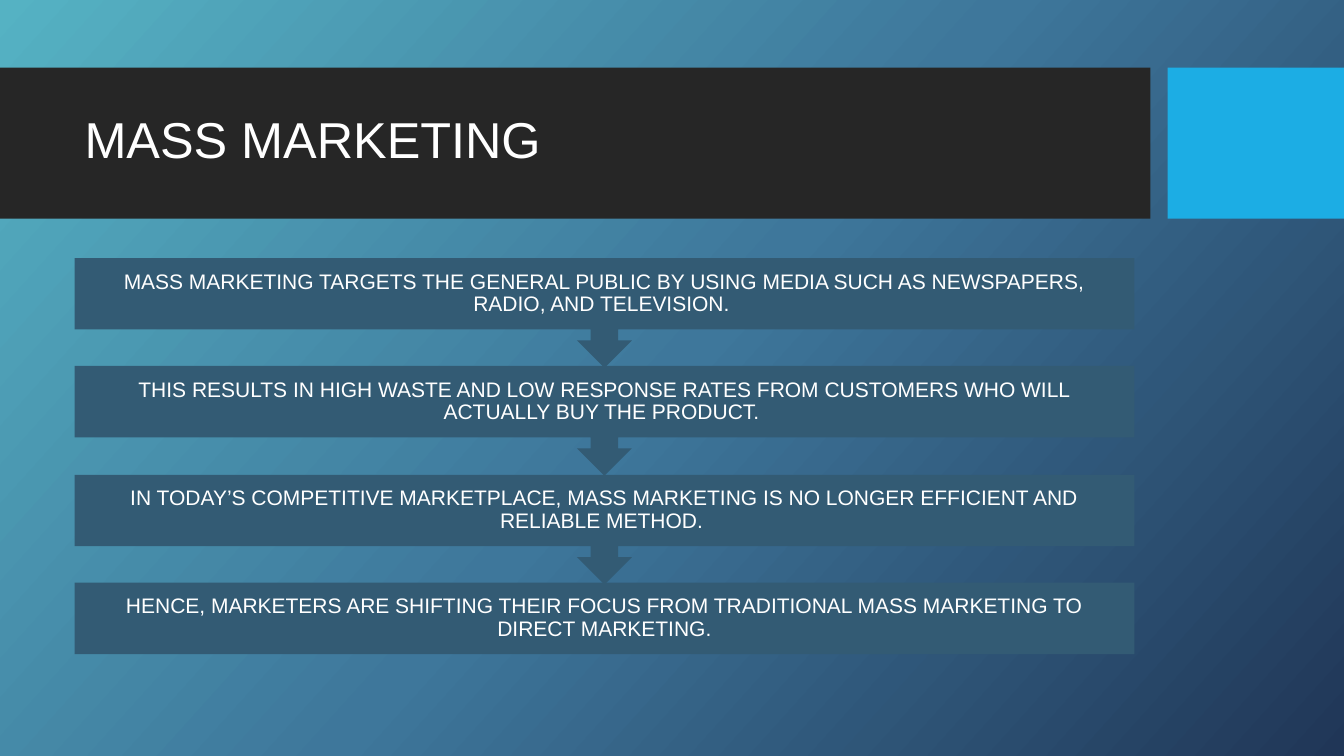
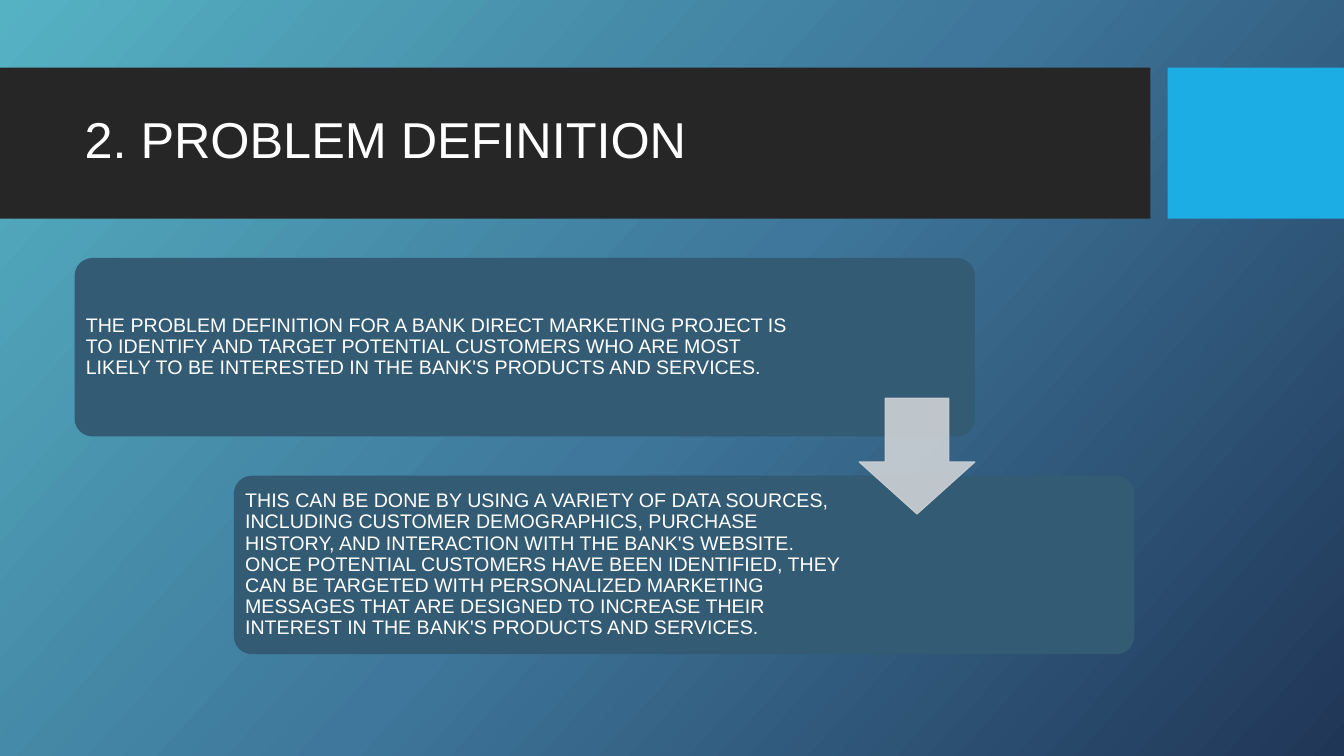
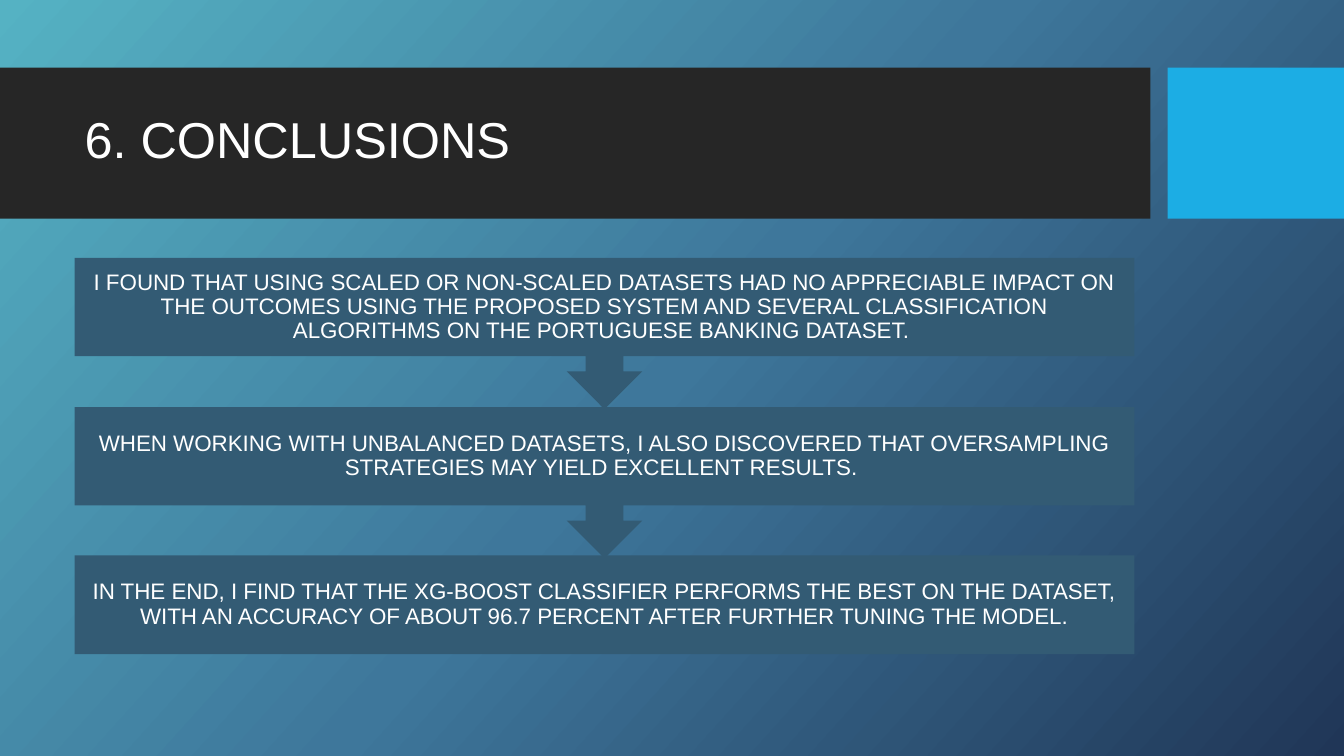
import lxml.etree
import pptx
import pptx.dml.color
import pptx.enum.shapes
import pptx.enum.text
import pptx.oxml.ns
import pptx.util

SHAPE = pptx.enum.shapes.MSO_SHAPE
ALIGN = pptx.enum.text.PP_ALIGN
qn = pptx.oxml.ns.qn

EMU_PER_PX = 9144
FONT = "Arial"
WHITE = "FFFFFF"
BAND = "262626"
ACCENT = "1CADE4"
PANEL = "335B74"
ARROW = "CED2D6"
BACKGROUND = [(0, "55B2C3"), (50, "3E779B"), (100, "203657")]
BODY = (74, 256, 1051, 393)


def px(n):
    return pptx.util.Emu(round(n) * EMU_PER_PX)


def rgb(value):
    return pptx.dml.color.RGBColor.from_string(value)


def add_box(slide, kind, box, color):
    sp = slide.shapes.add_shape(kind, *map(px, box))
    sp.shadow.inherit = False
    sp.fill.solid()
    sp.fill.fore_color.rgb = rgb(color)
    sp.line.fill.background()
    return sp


def set_text(sp, text, size, insets, align=ALIGN.LEFT):
    tf = sp.text_frame
    tf.word_wrap = True
    tf.vertical_anchor = pptx.enum.text.MSO_ANCHOR.MIDDLE
    tf.margin_left, tf.margin_top, tf.margin_right, tf.margin_bottom = map(px, insets)
    tf.text = text
    p = tf.paragraphs[0]
    p.alignment = align
    p.line_spacing = 0.9
    font = p.runs[0].font
    font.name = FONT
    font.size = pptx.util.Pt(size)
    font.color.rgb = rgb(WHITE)


def set_background(master):
    fill = master.background.fill
    fill.gradient()
    fill.gradient_angle = 360 - 42
    stops = master.element.find(".//" + qn("a:gsLst"))
    for stop in list(stops):
        stops.remove(stop)
    for position, color in BACKGROUND:
        stop = lxml.etree.SubElement(stops, qn("a:gs"), pos=str(position * 1000))
        lxml.etree.SubElement(stop, qn("a:srgbClr"), val=color)


def add_titled_slide(prs, title):
    slide = prs.slides.add_slide(prs.slide_layouts[6])
    add_box(slide, SHAPE.RECTANGLE, (0, 67, 1141, 150), BAND)
    add_box(slide, SHAPE.RECTANGLE, (1158, 67, 175, 150), ACCENT)
    sp = slide.shapes.add_textbox(*map(px, (74, 82, 1051, 118)))
    set_text(sp, title, 36, (10, 5, 10, 5))
    return slide


def add_process_stack(slide, box, texts, size):
    x, y, w, h = box
    pitch_ratio = 1.515
    row_h = h / (1 + pitch_ratio * (len(texts) - 1))
    for i, text in enumerate(texts):
        last = i == len(texts) - 1
        kind = SHAPE.RECTANGLE if last else SHAPE.DOWN_ARROW_CALLOUT
        shape_h = row_h if last else row_h / 0.65
        row = (x, y + i * pitch_ratio * row_h, w, shape_h)
        sp = add_box(slide, kind, row, PANEL)
        set_text(sp, text, size, (12, 12, 12, 12), ALIGN.CENTER)


def add_staircase(slide, box, steps, size):
    x, y, w, h = box
    step_w, step_h = 0.85 * w, 0.45 * h
    inset, corner = 6, 5
    for i, (text, text_w) in enumerate(steps):
        step = (x + i * (w - step_w), y + i * (h - step_h), step_w, step_h)
        sp = add_box(slide, SHAPE.ROUNDED_RECTANGLE, step, PANEL)
        sp.adjustments[0] = 0.1
        right = step_w - 2 * corner - text_w + inset
        set_text(sp, text, size, (inset, inset, right, inset))

    side = 0.65 * step_h
    arrow = (x + step_w - side, y + (h - side) / 2, side, side)
    sp = add_box(slide, SHAPE.DOWN_ARROW, arrow, ARROW)
    sp.adjustments[0] = 0.55
    sp.adjustments[1] = 0.45
    sp.line.color.rgb = rgb(ARROW)
    sp.line.width = pptx.util.Pt(0.75)
    for color in sp.element.spPr.iter(qn("a:srgbClr")):
        lxml.etree.SubElement(color, qn("a:alpha"), val="90000")


def main():
    prs = pptx.Presentation()
    prs.slide_width = px(1333)
    prs.slide_height = px(750)
    set_background(prs.slide_master)

    slide = add_titled_slide(prs, "MASS MARKETING")
    add_process_stack(slide, BODY, [
        "MASS MARKETING TARGETS THE GENERAL PUBLIC BY USING MEDIA SUCH AS "
        "NEWSPAPERS, RADIO, AND TELEVISION. ",
        "THIS RESULTS IN HIGH WASTE AND LOW RESPONSE RATES FROM CUSTOMERS WHO "
        "WILL ACTUALLY BUY THE PRODUCT. ",
        "IN TODAY’S COMPETITIVE MARKETPLACE, MASS MARKETING IS NO LONGER "
        "EFFICIENT AND RELIABLE METHOD. ",
        "HENCE, MARKETERS ARE SHIFTING THEIR FOCUS FROM TRADITIONAL MASS "
        "MARKETING TO DIRECT MARKETING.",
    ], 15)

    slide = add_titled_slide(prs, "2. PROBLEM DEFINITION")
    add_staircase(slide, BODY, [
        ("THE PROBLEM DEFINITION FOR A BANK DIRECT MARKETING PROJECT IS TO "
         "IDENTIFY AND TARGET POTENTIAL CUSTOMERS WHO ARE MOST LIKELY TO BE "
         "INTERESTED IN THE BANK'S PRODUCTS AND SERVICES.", 711),
        ("THIS CAN BE DONE BY USING A VARIETY OF DATA SOURCES, INCLUDING "
         "CUSTOMER DEMOGRAPHICS, PURCHASE HISTORY, AND INTERACTION WITH THE "
         "BANK'S WEBSITE. ONCE POTENTIAL CUSTOMERS HAVE BEEN IDENTIFIED, THEY "
         "CAN BE TARGETED WITH PERSONALIZED MARKETING MESSAGES THAT ARE "
         "DESIGNED TO INCREASE THEIR INTEREST IN THE BANK'S PRODUCTS AND "
         "SERVICES.", 610),
    ], 14)

    slide = add_titled_slide(prs, "6. CONCLUSIONS")
    add_process_stack(slide, BODY, [
        "I FOUND THAT USING SCALED OR NON-SCALED DATASETS HAD NO APPRECIABLE "
        "IMPACT ON THE OUTCOMES USING THE PROPOSED SYSTEM AND SEVERAL "
        "CLASSIFICATION ALGORITHMS ON THE PORTUGUESE BANKING DATASET. ",
        "WHEN WORKING WITH UNBALANCED DATASETS, I ALSO DISCOVERED THAT "
        "OVERSAMPLING STRATEGIES MAY YIELD EXCELLENT RESULTS. ",
        "IN THE END, I FIND THAT THE XG-BOOST CLASSIFIER PERFORMS THE BEST ON "
        "THE DATASET, WITH AN ACCURACY OF ABOUT 96.7 PERCENT AFTER FURTHER "
        "TUNING THE MODEL.",
    ], 16)

    prs.save("out.pptx")


if __name__ == "__main__":
    main()
